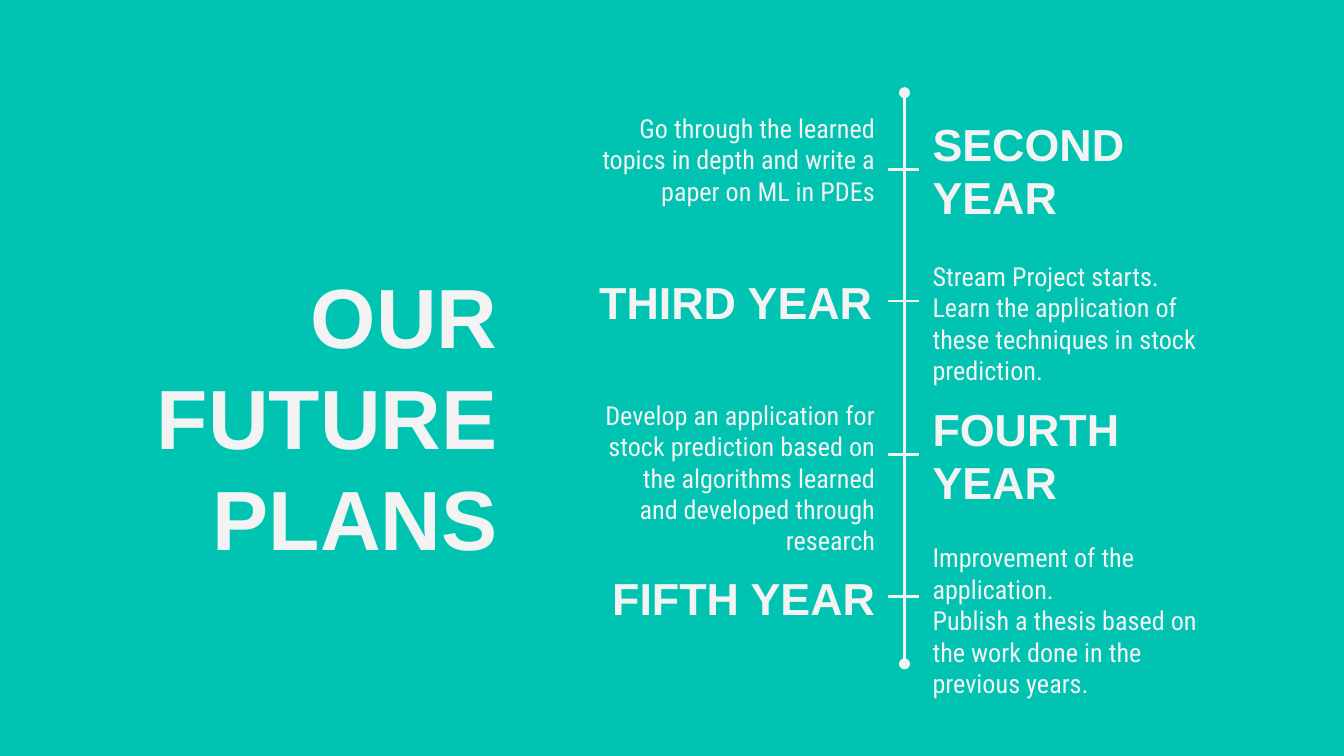
from lxml.etree import SubElement
from pptx import Presentation
from pptx.dml.color import RGBColor
from pptx.enum.shapes import MSO_CONNECTOR
from pptx.enum.text import MSO_ANCHOR, PP_ALIGN
from pptx.oxml.ns import qn
from pptx.util import Emu, Inches, Pt

PX = 9144
COLORS = {"background": "00C3B1", "ink": "F3F3F3"}
HEADING = {"font": "Arial", "size": 24, "bold": True}
BODY = {"font": "Roboto Condensed", "size": 14}
LEFT_X, RIGHT_X, COLUMN_W, ROW_H = 436, 684, 225, 69
AXIS_X, AXIS_TOP, AXIS_BOTTOM = 673, 69, 494
TICK_LEFT, TICK_RIGHT = 661, 684


def px(n):
    """Turn a length in px (100 to the inch) into EMU."""
    return Emu(n * PX)


def add_text(s, text, x, y, w, h, font="Arial", size=14, bold=False,
             align=PP_ALIGN.LEFT, anchor=MSO_ANCHOR.MIDDLE):
    """Add a wrapped text box with one paragraph per line of text."""
    tf = s.shapes.add_textbox(px(x), px(y), px(w), px(h)).text_frame
    tf.word_wrap = True
    tf.vertical_anchor = anchor
    tf.margin_left = tf.margin_right = tf.margin_top = tf.margin_bottom = Inches(0.1)
    tf.text = text
    for p in tf.paragraphs:
        p.alignment = align
        p.line_spacing = Pt(size * 1.2)
        for r in p.runs:
            r.font.name = font
            r.font.size = Pt(size)
            r.font.bold = bold
            r.font.color.rgb = RGBColor.from_string(COLORS["ink"])


def add_line(s, x1, y1, x2, y2, ends=None):
    """Add a straight line, with the given end marks if any."""
    line = s.shapes.add_connector(MSO_CONNECTOR.STRAIGHT, px(x1), px(y1), px(x2), px(y2))
    line.line.color.rgb = RGBColor.from_string(COLORS["ink"])
    line.line.width = Pt(1.5)
    if ends:
        ln = line.line._get_or_add_ln()
        for tag in ("a:headEnd", "a:tailEnd"):
            SubElement(ln, qn(tag), type=ends)
    SubElement(line._element.spPr, qn("a:effectLst"))


def add_timeline(s):
    """Draw the vertical axis, its ticks and the text on both sides."""
    add_line(s, AXIS_X, AXIS_TOP, AXIS_X, AXIS_BOTTOM, ends="oval")
    for y in (126, 224, 338, 444):
        add_line(s, TICK_LEFT, y, TICK_RIGHT, y)

    right = PP_ALIGN.RIGHT
    entries = [
        ("Go through the learned topics in depth and write a paper on ML in PDEs",
         LEFT_X, 84, BODY, right),
        ("SECOND YEAR", RIGHT_X, 92, HEADING, PP_ALIGN.LEFT),
        ("THIRD YEAR", LEFT_X, 190, HEADING, PP_ALIGN.LEFT),
        ("Stream Project starts.\n"
         "Learn the application of these techniques in stock prediction.",
         RIGHT_X, 206, BODY, PP_ALIGN.LEFT),
        ("Develop an application for stock prediction based on the algorithms "
         "learned and developed through research", LEFT_X, 321, BODY, right),
        ("FOURTH YEAR", RIGHT_X, 304, HEADING, PP_ALIGN.LEFT),
        ("FIFTH YEAR", LEFT_X, 410, HEADING, right),
        ("Improvement of the application.\n"
         "Publish a thesis based on the work done in the previous years.",
         RIGHT_X, 427, BODY, PP_ALIGN.LEFT),
    ]
    for text, x, y, style, align in entries:
        add_text(s, text, x, y, COLUMN_W, ROW_H, align=align, **style)


def main():
    """Build the slide and save it."""
    prs = Presentation()
    prs.slide_width, prs.slide_height = Inches(10), Inches(10) * 9 // 16
    s = prs.slides.add_slide(prs.slide_layouts[6])
    fill = s.background.fill
    fill.solid()
    fill.fore_color.rgb = RGBColor.from_string(COLORS["background"])
    add_text(s, "OUR FUTURE PLANS", 79, 187, 301, 189, size=45, bold=True,
             align=PP_ALIGN.RIGHT, anchor=MSO_ANCHOR.TOP)
    add_timeline(s)
    prs.save("out.pptx")


if __name__ == "__main__":
    main()
